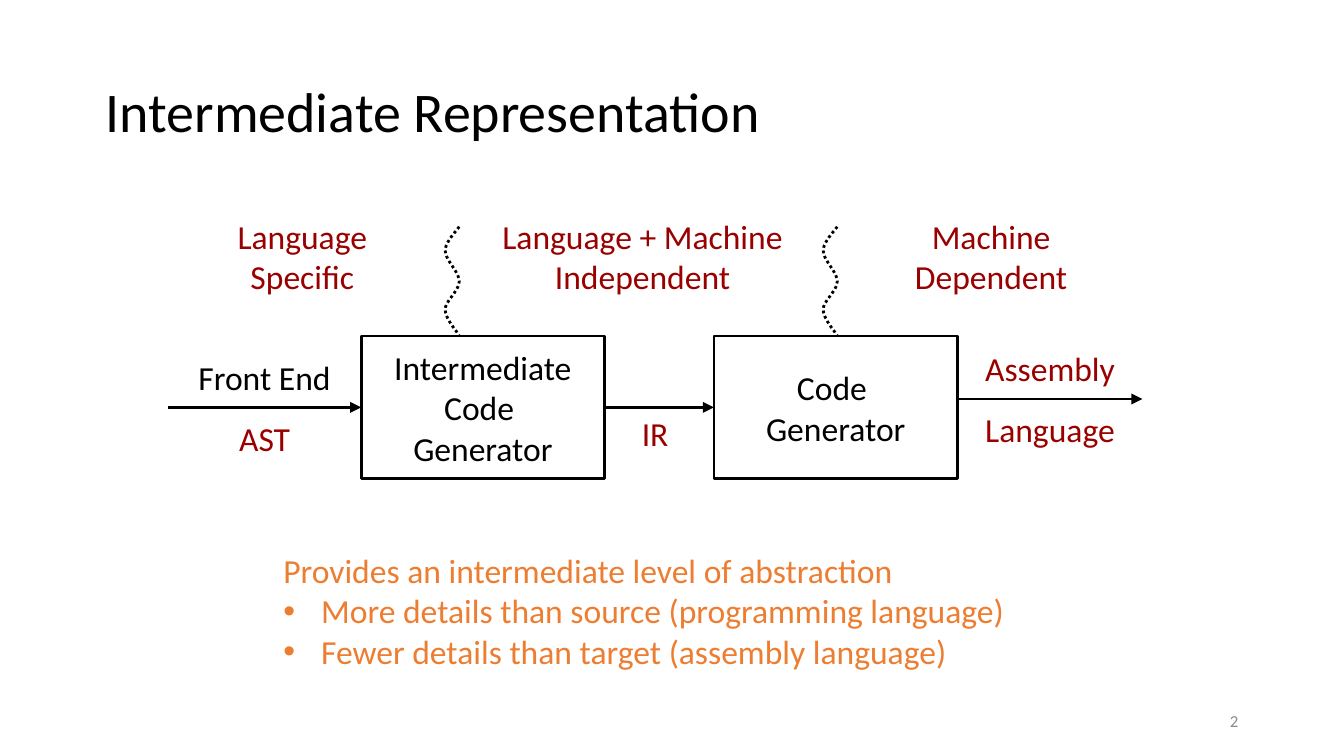
from pptx import Presentation
from pptx.dml.color import RGBColor
from pptx.enum.dml import MSO_LINE
from pptx.enum.shapes import MSO_CONNECTOR as CONN, MSO_SHAPE as SHAPE
from pptx.enum.text import MSO_ANCHOR as ANCHOR, PP_ALIGN as ALIGN
from pptx.oxml.ns import qn
from pptx.util import Pt
from lxml import etree

PX = 9525  # EMU per px, 96 px to the inch
THEME = dict(font="Calibri", ink="000000", red="990000", orange="ED7D31",
             gray="8C8C8C", title=30, body=18, small=9, line=1.5)


def write(sp, lines, colors, size=THEME["body"], align=ALIGN.CENTER, wrap=False, gap=0):
    """Fill a shape with one paragraph per line; gap goes between paragraphs."""
    tf = sp.text_frame
    tf.text = "\n".join(lines)
    tf.word_wrap = wrap
    tf.vertical_anchor = ANCHOR.MIDDLE
    for i, p in enumerate(tf.paragraphs):
        p.alignment = align
        if i and gap:
            p.space_before = Pt(gap)
        for r in p.runs:
            r.font.name = THEME["font"]
            r.font.size = Pt(size)
            r.font.color.rgb = RGBColor.from_string(THEME[colors[i % len(colors)]])
    return tf


def outline(sp):
    sp.line.color.rgb = RGBColor.from_string(THEME["ink"])
    sp.line.width = Pt(THEME["line"])


prs = Presentation()
prs.slide_width, prs.slide_height = 960 * PX, 540 * PX
s = prs.slides.add_slide(prs.slide_layouts[6])

# Title
sp = s.shapes.add_textbox(66 * PX, 29 * PX, 828 * PX, 105 * PX)
tf = write(sp, ["Intermediate Representation"], ["ink"], THEME["title"], ALIGN.LEFT, True)
tf.paragraphs[0].line_spacing = 0.9

# Compiler stages
for x, lines in [(258, ["Intermediate", "Code ", "Generator"]),
                 (510, ["Code ", "Generator"])]:
    sp = s.shapes.add_shape(SHAPE.RECTANGLE, x * PX, 240 * PX, 174 * PX, 102 * PX)
    sp.shadow.inherit = False
    sp.fill.background()
    outline(sp)
    write(sp, lines, ["ink"])

# Arrows between stages
for x1, x2, y in [(120, 258, 291), (432, 510, 291), (684, 816, 285)]:
    arrow = s.shapes.add_connector(CONN.STRAIGHT, x1 * PX, y * PX, x2 * PX, y * PX)
    outline(arrow)
    ln = arrow.line._get_or_add_ln()
    etree.SubElement(ln, qn("a:tailEnd"), type="triangle")
    etree.SubElement(arrow._element.spPr, qn("a:effectLst"))

# Dotted waves, traced along cubic curves
WAVE = [[(10, 0), (8, 3), (0, 11), (0, 17)],
        [(0, 17), (0, 24), (10, 32), (10, 39)],
        [(10, 39), (10, 46), (0, 53), (0, 59)],
        [(0, 59), (0, 66), (8, 74), (10, 78)]]
STEPS = 10
for x in (318, 588):
    points = []
    for a, b, c, d in WAVE:
        for t in (n / STEPS for n in range(1, STEPS + 1)):
            u = 1 - t
            px, py = (u**3 * a[k] + 3 * u * u * t * b[k] + 3 * u * t * t * c[k] + t**3 * d[k]
                      for k in (0, 1))
            points.append((round((x + px) * PX), round((162 + py) * PX)))
    fb = s.shapes.build_freeform((x + 10) * PX, 162 * PX)
    fb.add_line_segments(points, close=False)
    wave = fb.convert_to_shape()
    wave.shadow.inherit = False
    wave.fill.background()
    outline(wave)
    wave.line.dash_style = MSO_LINE.ROUND_DOT

# Labels on the arrows and above the stages
LABELS = [
    (120, 240, 138, 102, ["Front End", "AST"], ["ink", "red"], 11),
    (432, 288, 72, 42, ["IR"], ["red"], 0),
    (684, 246, 132, 78, ["Assembly", "Language"], ["red"], 11),
    (138, 156, 156, 54, ["Language", "Specific"], ["red"], 0),
    (342, 156, 234, 54, ["Language + Machine", "Independent"], ["red"], 0),
    (630, 156, 156, 54, ["Machine", "Dependent"], ["red"], 0),
]
for x, y, w, h, lines, colors, gap in LABELS:
    sp = s.shapes.add_textbox(x * PX, y * PX, w * PX, h * PX)
    write(sp, lines, colors, gap=gap)

# Summary with bullets
sp = s.shapes.add_textbox(193 * PX, 383 * PX, 597 * PX, 106 * PX)
tf = write(sp, ["Provides an intermediate level of abstraction",
                "More details than source (programming language)",
                "Fewer details than target (assembly language)"],
           ["orange"], align=ALIGN.LEFT, wrap=True)
for p in tf.paragraphs[1:]:
    pPr = p._p.get_or_add_pPr()
    pPr.set("marL", str(27 * PX))
    pPr.set("indent", str(-27 * PX))
    etree.SubElement(pPr, qn("a:buFont"), typeface="Arial")
    etree.SubElement(pPr, qn("a:buChar"), char="•")

# Slide number
sp = s.shapes.add_textbox(678 * PX, 500 * PX, 216 * PX, 29 * PX)
write(sp, ["2"], ["gray"], THEME["small"], ALIGN.RIGHT, True)

prs.save("out.pptx")
